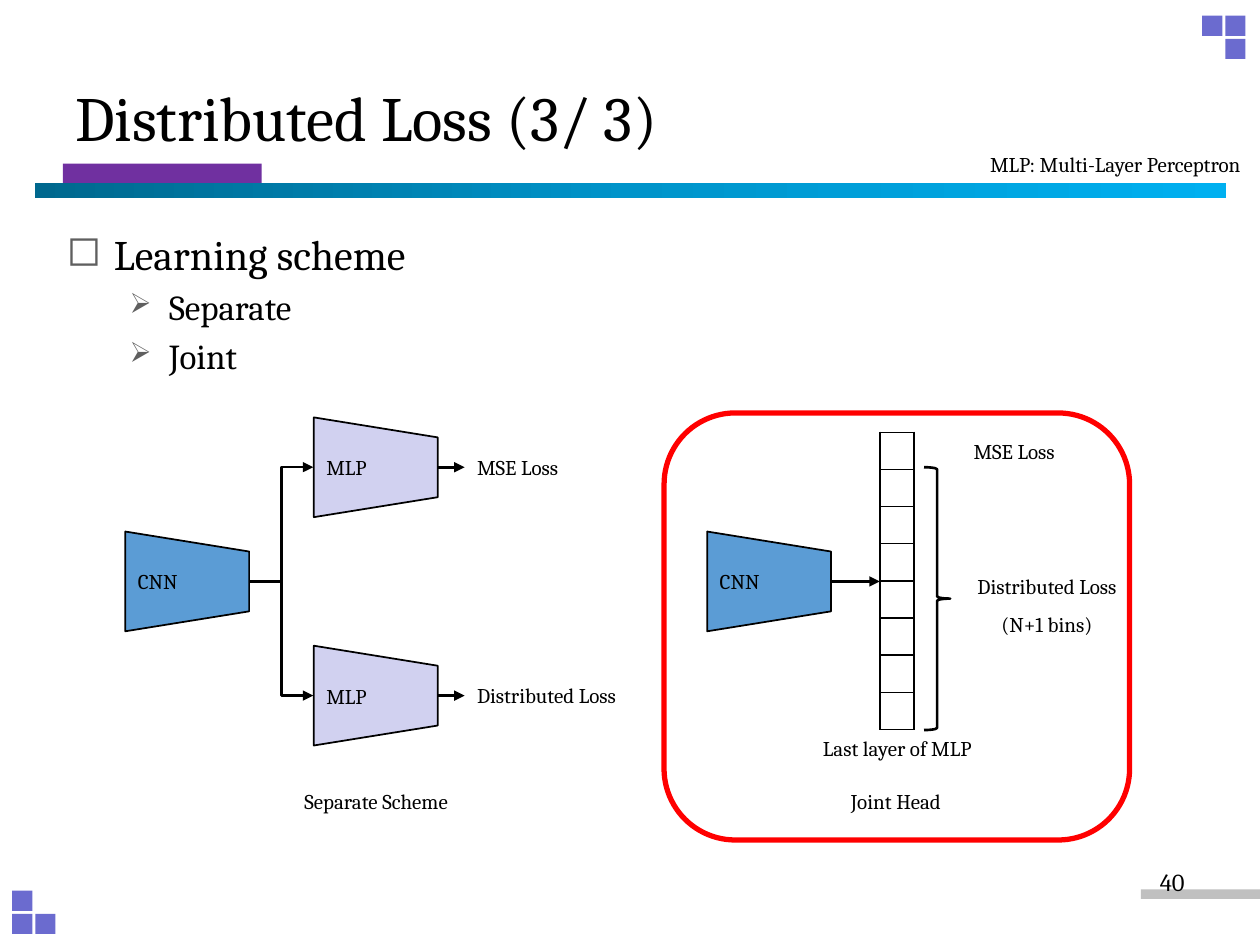
from copy import deepcopy
from lxml.etree import SubElement
from pptx import Presentation
from pptx.dml.color import RGBColor
from pptx.enum.shapes import MSO_CONNECTOR, MSO_SHAPE
from pptx.enum.text import MSO_ANCHOR, PP_ALIGN
from pptx.oxml.ns import qn
from pptx.util import Pt

FONT = "Cambria"
HEX = {
    "black": "000000", "purple": "7030A0", "square": "6B6BCF",
    "grey": "C0C0C0", "bullet": "5F5F5F", "mlp": "D1D1F0",
    "cnn": "5B9CD5", "red": "FF0000",
    "dark": "00688E", "mid": "0094CA", "light": "00B0F0",
}
LEFT, MID, RIGHT = PP_ALIGN.LEFT, PP_ALIGN.CENTER, PP_ALIGN.RIGHT
TOP_Y, CNN_Y, LOW_Y = 267, 332.25, 397.5


def tint(name):
    return RGBColor.from_string(HEX[name])


def add_run(para, words, size):
    run = para.add_run()
    run.text = words
    run.font.name = FONT
    run.font.size = Pt(size)
    run.font.color.rgb = tint("black")


def add_text(slide, box, lines, size=12, align=LEFT, space=None, anchor=MSO_ANCHOR.TOP):
    frame = slide.shapes.add_textbox(*map(Pt, box)).text_frame
    frame.word_wrap = True
    frame.vertical_anchor = anchor
    for i, words in enumerate(lines):
        para = frame.add_paragraph() if i else frame.paragraphs[0]
        para.alignment = align
        para.line_spacing = space
        add_run(para, words, size)


def add_list(slide, box, items):
    frame = slide.shapes.add_textbox(*map(Pt, box)).text_frame
    frame.word_wrap = True
    styles = [("◻", 27, 27, 100, 24), ("➢", 58.5, 22.5, 80, 20)]
    for i, (level, words) in enumerate(items):
        mark, left, hang, scale, size = styles[level]
        para = frame.add_paragraph() if i else frame.paragraphs[0]
        para.alignment = PP_ALIGN.JUSTIFY
        para.level = level
        if i:
            para.space_before = Pt(size * 0.2)
        props = para._p.get_or_add_pPr()
        props.set("marL", str(Pt(left)))
        props.set("indent", str(-Pt(hang)))
        color = SubElement(props, qn("a:buClr"))
        SubElement(color, qn("a:srgbClr"), val=HEX["bullet"])
        SubElement(props, qn("a:buSzPct"), val=str(scale * 1000))
        SubElement(props, qn("a:buChar"), char=mark)
        add_run(para, words, size)


def add_form(slide, kind, box, fill=None, line=None, width=1):
    form = slide.shapes.add_shape(kind, *map(Pt, box))
    form.shadow.inherit = False
    if fill:
        form.fill.solid()
        form.fill.fore_color.rgb = tint(fill)
    else:
        form.fill.background()
    if line:
        form.line.color.rgb = tint(line)
        form.line.width = Pt(width)
    else:
        form.line.fill.background()
    return form


def add_net(slide, x, y, words, fill):
    wide, high = 57, 70.75
    box = (x - wide / 2, y - high / 2, wide, high)
    net = add_form(slide, MSO_SHAPE.FLOWCHART_MANUAL_OPERATION, box, fill, "black")
    net.rotation = 270
    frame = net.text_frame
    frame.vertical_anchor = MSO_ANCHOR.MIDDLE
    frame._txBody.bodyPr.set("vert", "eaVert")
    para = frame.paragraphs[0]
    para.alignment = MID
    add_run(para, words, 12)


def add_arrow(slide, start, end, kind=MSO_CONNECTOR.STRAIGHT):
    arrow = slide.shapes.add_connector(kind, *map(Pt, start + end))
    arrow.line.color.rgb = tint("black")
    arrow.line.width = Pt(1.5)
    SubElement(arrow.line._get_or_add_ln(), qn("a:tailEnd"), type="triangle")
    SubElement(arrow._element.spPr, qn("a:effectLst"))


def add_layer(slide, box, count):
    table = slide.shapes.add_table(count, 1, *map(Pt, box)).table
    table.first_row = table.horz_banding = False
    for row in table.rows:
        row.height = Pt(box[3] / count)
        cell = row.cells[0]
        cell.margin_top = cell.margin_bottom = 0
        para = cell.text_frame.paragraphs[0]
        SubElement(para._p, qn("a:endParaRPr"), sz="1000")
        props = cell._tc.get_or_add_tcPr()
        for side in ("L", "R", "T", "B"):
            edge = SubElement(props, qn("a:ln" + side), w=str(Pt(1)))
            fill = SubElement(edge, qn("a:solidFill"))
            SubElement(fill, qn("a:srgbClr"), val=HEX["black"])
        cell.fill.background()


def add_bar(slide, box):
    bar = add_form(slide, MSO_SHAPE.RECTANGLE, box)
    bar.fill.gradient()
    bar.fill.gradient_angle = 0
    stops = bar._element.spPr.find(".//" + qn("a:gsLst"))
    stops.insert(1, deepcopy(stops[0]))
    for i, (stop, name) in enumerate(zip(bar.fill.gradient_stops, ("dark", "mid", "light"))):
        stop.position = i / 2
        stop.color.rgb = tint(name)


def add_decor(slide):
    rect = MSO_SHAPE.RECTANGLE
    add_form(slide, rect, (652, 508.25, 68, 5.5), "grey")
    add_form(slide, rect, (36, 93.5, 113.5, 11.5), "purple")
    add_bar(slide, (20, 104.5, 680.5, 8.5))
    corners = [
        (687, 9, [(0, 0), (1, 0), (1, 1)]),
        (7, 509, [(0, 0), (0, 1), (1, 1)]),
    ]
    for x, y, spots in corners:
        for col, row in spots:
            box = (x + col * 13.25, y + row * 13.25, 11.5, 11.5)
            add_form(slide, rect, box, "square")


def add_split(slide):
    add_net(slide, 107, CNN_Y, "CNN", "cnn")
    for y, words in ((TOP_Y, "MSE Loss"), (LOW_Y, "Distributed Loss")):
        add_net(slide, 214.75, y, "MLP", "mlp")
        add_arrow(slide, (142.5, CNN_Y), (179, y), MSO_CONNECTOR.ELBOW)
        add_arrow(slide, (250, y), (265.5, y))
        add_text(slide, (265.5, y - 11, 109.5, 22), [words])
    add_text(slide, (147, 447, 136, 22), ["Separate Scheme"], align=MID)


def add_joint(slide):
    add_net(slide, 439.5, CNN_Y, "CNN", "cnn")
    add_layer(slide, (502.75, 247, 19.5, 170), 8)
    add_arrow(slide, (475, CNN_Y), (502.75, CNN_Y))
    add_text(slide, (458, 417, 109.5, 22), ["Last layer of MLP"], align=MID)
    add_text(slide, (549.25, 247, 109.5, 22), ["MSE Loss"])
    add_form(slide, MSO_SHAPE.RIGHT_BRACE, (528, 267, 15, 150.25), None, "black", 1.5)
    add_text(slide, (543.5, 317, 109.5, 48), ["Distributed Loss", "(N+1 bins)"],
             align=MID, space=1.5)
    add_text(slide, (444, 447, 136, 22), ["Joint Head"], align=MID)
    add_form(slide, MSO_SHAPE.ROUNDED_RECTANGLE, (379.5, 236, 266, 244), None, "red", 3)


def main():
    deck = Presentation()
    deck.slide_width, deck.slide_height = Pt(720), Pt(540)
    slide = deck.slides.add_slide(deck.slide_layouts[6])
    add_decor(slide)
    add_text(slide, (36, 21.5, 648, 90), ["Distributed Loss (3/ 3)"], 36,
             anchor=MSO_ANCHOR.MIDDLE)
    add_list(slide, (31, 127, 648, 387),
             [(0, "Learning scheme"), (1, "Separate"), (1, "Joint")])
    add_split(slide)
    add_joint(slide)
    add_text(slide, (404, 83, 312, 22), ["MLP: Multi-Layer Perceptron"], align=RIGHT)
    add_text(slide, (516, 492, 168, 37), ["40"], 14, RIGHT)
    deck.save("out.pptx")


if __name__ == "__main__":
    main()
